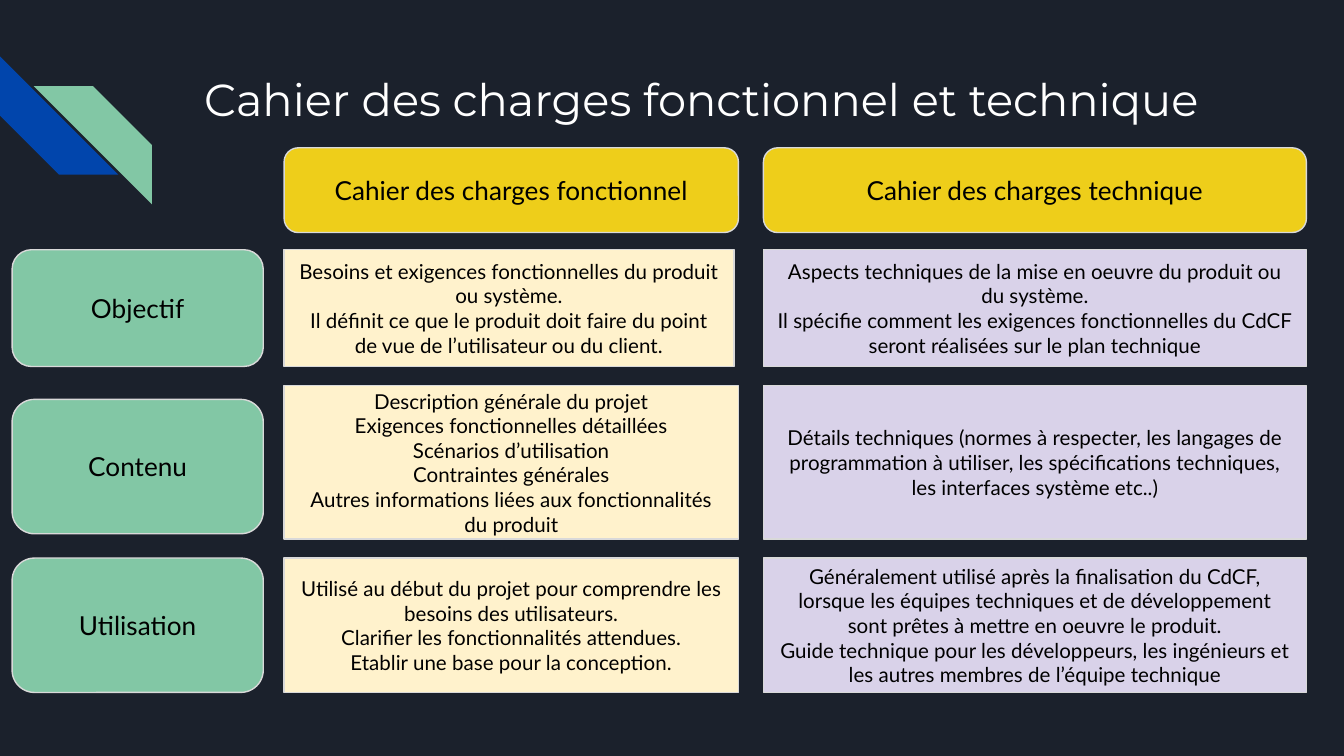
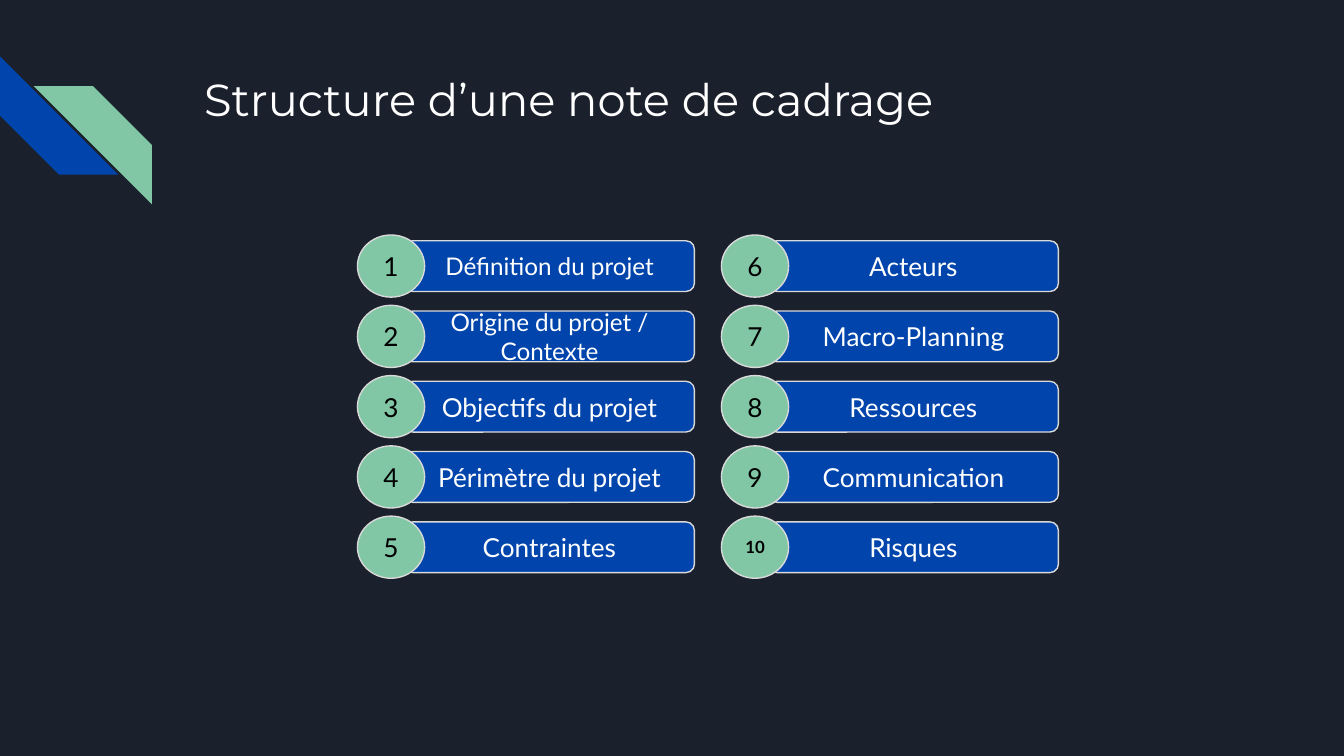
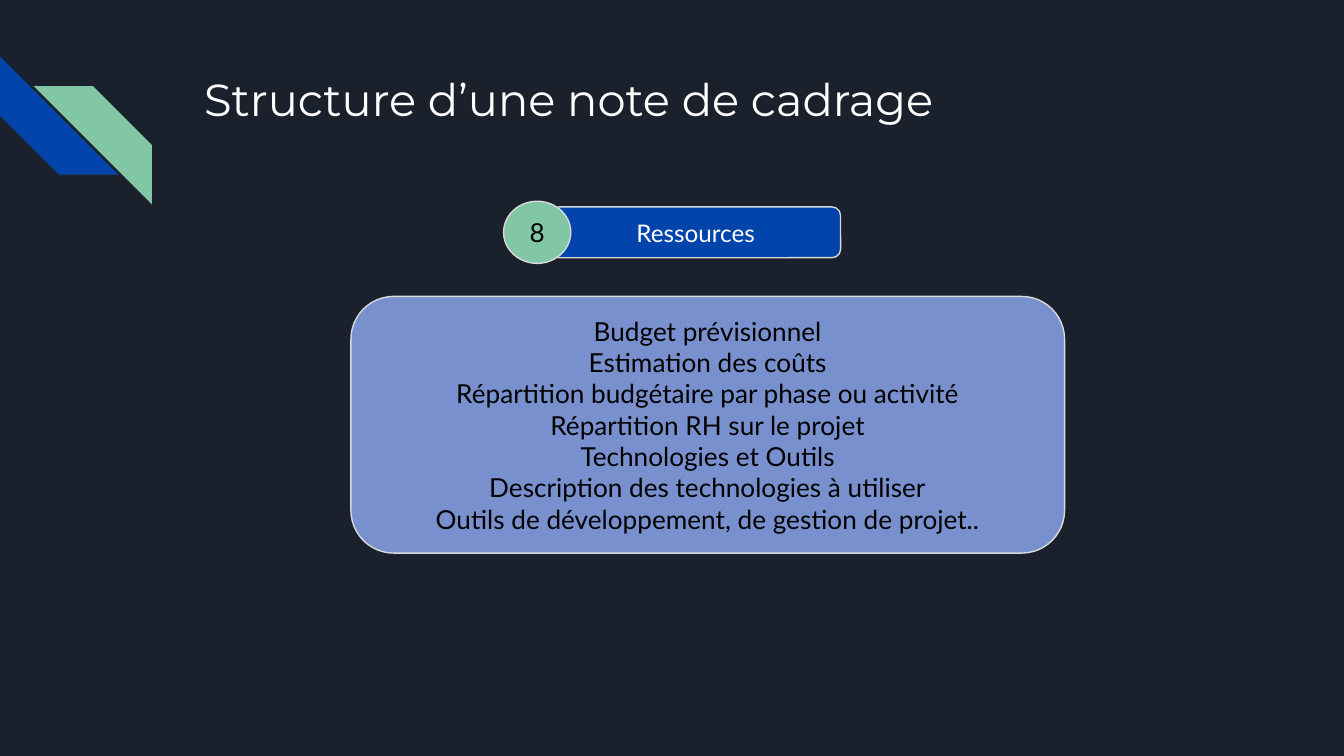
"""Build three slides on functional and technical specifications and the scoping note."""
from dataclasses import dataclass

from pptx import Presentation
from pptx.dml.color import RGBColor
from pptx.enum.shapes import MSO_SHAPE as Preset
from pptx.enum.text import MSO_ANCHOR as Anchor, MSO_AUTO_SIZE as AutoSize, PP_ALIGN as Align
from pptx.util import Pt


@dataclass(frozen=True)
class Theme:
    night: str = "1B212C"
    blue: str = "0145AC"
    green: str = "82C7A5"
    yellow: str = "EECE1A"
    cream: str = "FFF2CC"
    lilac: str = "D9D2E9"
    periwinkle: str = "7890CD"
    border: str = "D9D9D9"
    white: str = "FFFFFF"
    black: str = "000000"
    title_font: str = "Montserrat"
    body_font: str = "Lato"
    title_size: float = 24
    label_size: float = 14
    compact_size: float = 13
    detail_size: float = 11
    small_size: float = 9
    line_width: float = 0.75
    inset: float = 7.2


THEME = Theme()
SLIDE_SIZE = (720, 405)
TITLE_BOX = (102.2, 31, 554.4)

STRIPES = [
    (0, 30.2, 270, THEME.blue),
    (18, 46.1, 90, THEME.green),
]
STRIPE_SIDE = 63.4

COMPARISON_TITLE = "Cahier des charges fonctionnel et technique"
LABEL_LEFT, LABEL_WIDTH = 6.5, 134.6
HEADER_TOP, HEADER_HEIGHT = 79.2, 45.4
COLUMNS = [
    ("Cahier des charges fonctionnel", 152.2, 243.4, THEME.cream),
    ("Cahier des charges technique", 409, 290.9, THEME.lilac),
]
ROWS = [
    {
        "label": "Objectif", "label_span": (133.8, 62.6), "cell_span": (133.8, 62.6),
        "cells": [
            ["Besoins et exigences fonctionnelles du produit ou système.",
             "Il définit ce que le produit doit faire du point de vue de l’utilisateur ou du client."],
            ["Aspects techniques de la mise en oeuvre du produit ou du système.",
             "Il spécifie comment les exigences fonctionnelles du CdCF seront réalisées "
             "sur le plan technique"],
        ],
        "trims": (2.4, 0),
    },
    {
        "label": "Contenu", "label_span": (214, 72), "cell_span": (206.6, 82.3),
        "cells": [
            ["Description générale du projet",
             "Exigences fonctionnelles détaillées",
             "Scénarios d’utilisation",
             "Contraintes générales",
             "Autres informations liées aux fonctionnalités du produit"],
            ["Détails techniques (normes à respecter, les langages de programmation à utiliser, "
             "les spécifications techniques, les interfaces système etc..)"],
        ],
        "trims": (0, 0),
    },
    {
        "label": "Utilisation", "label_span": (299, 72), "cell_span": (299, 72),
        "cells": [
            ["Utilisé au début du projet pour comprendre les besoins des utilisateurs.",
             "Clarifier les fonctionnalités attendues.",
             "Etablir une base pour la conception."],
            ["Généralement utilisé après la finalisation du CdCF, lorsque les équipes techniques "
             "et de développement sont prêtes à mettre en oeuvre le produit.",
             "Guide technique pour les développeurs, les ingénieurs et les autres membres "
             "de l’équipe technique"],
        ],
        "trims": (0, 0),
    },
]

NOTE_TITLE = "Structure d’une note de cadrage"
SECTIONS = [
    ("Définition du projet", THEME.compact_size),
    ("Origine du projet / Contexte", THEME.compact_size),
    ("Objectifs du projet", THEME.label_size),
    ("Périmètre du projet", THEME.label_size),
    ("Contraintes", THEME.label_size),
    ("Acteurs", THEME.label_size),
    ("Macro-Planning", THEME.label_size),
    ("Ressources", THEME.label_size),
    ("Communication", THEME.label_size),
    ("Risques", THEME.label_size),
]
SECTIONS_PER_COLUMN = 5
SECTION_LEFT, SECTION_TOP = 191.5, 125.9
SECTION_COLUMN_STEP, SECTION_ROW_STEP = 195, 37.65
BADGE_SIZE = (36, 33.3)
BAR_OFFSET = (25.2, 3.1)
BAR_SIZE = (155.3, 27.2)

RESOURCES_NUMBER = 8
RESOURCES_PLACE = (269.8, 107.8)
RESOURCES_PANEL = (188, 158.8, 382.3, 137.5)
RESOURCES = [
    "Budget prévisionnel",
    "Estimation des coûts",
    "Répartition budgétaire par phase ou activité",
    "Répartition RH sur le projet",
    "Technologies et Outils",
    "Description des technologies à utiliser",
    "Outils de développement, de gestion de projet..",
]


def color(value):
    return RGBColor.from_string(value)


def format_text(frame, font, size, ink, align, bold=False):
    frame.word_wrap = True
    frame.margin_left = frame.margin_right = Pt(THEME.inset)
    frame.margin_top = frame.margin_bottom = Pt(THEME.inset)
    for para in frame.paragraphs:
        para.alignment = align
        for span in para.runs:
            span.font.name = font
            span.font.size = Pt(size)
            span.font.bold = bold
            span.font.color.rgb = color(ink)


def add_filled(page, preset, place, fill):
    box = page.shapes.add_shape(preset, *map(Pt, place))
    box.shadow.inherit = False
    box.fill.solid()
    box.fill.fore_color.rgb = color(fill)
    return box


def add_box(page, preset, place, fill, lines, size=THEME.label_size, ink=THEME.black, bold=False):
    box = add_filled(page, preset, place, fill)
    box.line.color.rgb = color(THEME.border)
    box.line.width = Pt(THEME.line_width)
    box.text_frame.text = "\n".join(lines)
    box.text_frame.vertical_anchor = Anchor.MIDDLE
    format_text(box.text_frame, THEME.body_font, size, ink, Align.CENTER, bold)


def add_page(deck, layout, title, title_height=72):
    page = deck.slides.add_slide(layout)
    box = page.shapes.title
    box.left, box.top, box.width, box.height = map(Pt, (*TITLE_BOX, title_height))
    frame = box.text_frame
    frame.text = title
    frame.auto_size = AutoSize.NONE
    frame.vertical_anchor = Anchor.TOP
    format_text(frame, THEME.title_font, THEME.title_size, THEME.white, Align.LEFT)
    return page


def move_stripes_to_layout(page, layout):
    for number, (left, top, rotation, fill) in enumerate(STRIPES, start=20):
        place = (left, top, STRIPE_SIDE, STRIPE_SIDE)
        stripe = add_filled(page, Preset.DIAGONAL_STRIPE, place, fill)
        stripe.line.fill.background()
        stripe.rotation = rotation
        stripe.element.nvSpPr.cNvPr.set("id", str(number))
        layout.shapes.element.append(stripe.element)


def add_section(page, number, left, top, size):
    name = SECTIONS[number - 1][0]
    bar = (left + BAR_OFFSET[0], top + BAR_OFFSET[1], *BAR_SIZE)
    add_box(page, Preset.ROUNDED_RECTANGLE, bar, THEME.blue, [name], size, THEME.white)
    wide = number > 9
    badge_size = THEME.small_size if wide else THEME.label_size
    add_box(page, Preset.OVAL, (left, top, *BADGE_SIZE), THEME.green, [str(number)],
            badge_size, bold=wide)


def fill_comparison(page):
    for header, left, width, _ in COLUMNS:
        add_box(page, Preset.ROUNDED_RECTANGLE, (left, HEADER_TOP, width, HEADER_HEIGHT),
                THEME.yellow, [header])
    for row in ROWS:
        top, height = row["label_span"]
        add_box(page, Preset.ROUNDED_RECTANGLE, (LABEL_LEFT, top, LABEL_WIDTH, height),
                THEME.green, [row["label"]])
        top, height = row["cell_span"]
        for (_, left, width, fill), lines, trim in zip(COLUMNS, row["cells"], row["trims"]):
            add_box(page, Preset.RECTANGLE, (left, top, width - trim, height), fill, lines,
                    THEME.detail_size)


def fill_sections(page):
    for index, (_, size) in enumerate(SECTIONS):
        column, row = divmod(index, SECTIONS_PER_COLUMN)
        add_section(page, index + 1, SECTION_LEFT + column * SECTION_COLUMN_STEP,
                    SECTION_TOP + row * SECTION_ROW_STEP, size)


def fill_resources(page):
    add_section(page, RESOURCES_NUMBER, *RESOURCES_PLACE, THEME.compact_size)
    add_box(page, Preset.ROUNDED_RECTANGLE, RESOURCES_PANEL, THEME.periwinkle, RESOURCES)


def main():
    deck = Presentation()
    deck.slide_width, deck.slide_height = map(Pt, SLIDE_SIZE)
    backdrop = deck.slide_master.background.fill
    backdrop.solid()
    backdrop.fore_color.rgb = color(THEME.night)
    layout = deck.slide_layouts.get_by_name("Title Only")

    comparison = add_page(deck, layout, COMPARISON_TITLE)
    move_stripes_to_layout(comparison, layout)
    fill_comparison(comparison)
    fill_sections(add_page(deck, layout, NOTE_TITLE, title_height=46))
    fill_resources(add_page(deck, layout, NOTE_TITLE))
    deck.save("out.pptx")


if __name__ == "__main__":
    main()
